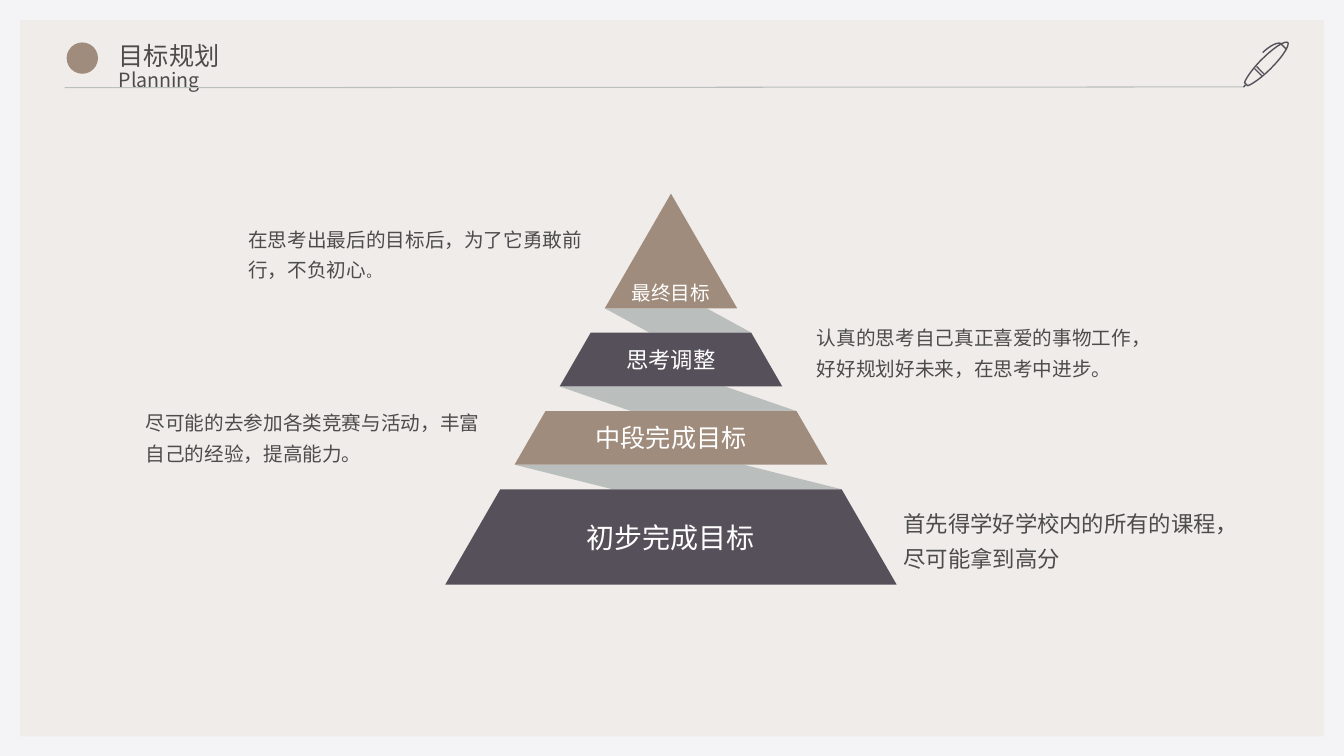
from math import radians, tan

from lxml.etree import SubElement
from pptx import Presentation
from pptx.dml.color import RGBColor
from pptx.enum.shapes import MSO_CONNECTOR as Connector, MSO_SHAPE as Shape
from pptx.enum.text import MSO_ANCHOR as Anchor, MSO_AUTO_SIZE as AutoSize, PP_ALIGN as Align
from pptx.oxml.ns import qn
from pptx.util import Cm, Pt

FONT = "Noto Sans CJK SC"
BROWN, PLUM, GREY, INK = "A08C7C", "56505B", "BABEBD", "4C4C4C"
PAPER, BORDER, WHITE = "F0ECE9", "F4F4F6", "FFFFFF"


def color(hex_code):
    return RGBColor.from_string(hex_code)


def paint(shape, fill):
    shape.shadow.inherit = False
    shape.fill.solid()
    shape.fill.fore_color.rgb = color(fill)
    shape.line.fill.background()


def add_run(paragraph, text, size, ink=INK):
    run = paragraph.add_run()
    run.text = text
    run.font.size = Pt(size)
    run.font.color.rgb = color(ink)
    run.font.name = FONT
    SubElement(run._r.get_or_add_rPr(), qn("a:ea"), typeface=FONT)


def outline(slide, strokes):
    """Build one freeform from lists of points in centimetres."""
    contours = [[(Cm(x), Cm(y)) for x, y in stroke] for stroke in strokes]
    builder = slide.shapes.build_freeform(*contours[0][0], scale=1.0)
    for index, (start, *rest) in enumerate(contours):
        if index:
            builder.move_to(*start)
        builder.add_line_segments(rest, close=start == rest[-1])
    return builder.convert_to_shape()


def curve(p0, p1, p2, p3, steps=12):
    """Points along a cubic curve, from its start to its end."""
    points = []
    for step in range(steps + 1):
        t = step / steps
        weights = ((1 - t) ** 3, 3 * t * (1 - t) ** 2, 3 * t * t * (1 - t), t ** 3)
        points.append(tuple(sum(w * p[axis] for w, p in zip(weights, (p0, p1, p2, p3)))
                            for axis in (0, 1)))
    return points


def add_text(slide, left, top, width, height, runs, spacing, wrap=True):
    box = slide.shapes.add_textbox(Cm(left), Cm(top), Cm(width), Cm(height))
    box.text_frame.word_wrap = wrap
    box.text_frame.auto_size = AutoSize.SHAPE_TO_FIT_TEXT
    paragraph = box.text_frame.paragraphs[0]
    paragraph.line_spacing = spacing
    for index, (text, size) in enumerate(runs):
        if index and not wrap:
            paragraph.add_line_break()
        add_run(paragraph, text, size)


def add_pen(slide, left, top, size):
    # Pen drawn on a 47-unit grid
    body = (curve((44, 2), (41, 0), (30, 7), (18, 19))
            + curve((18, 19), (9, 28), (2, 38), (1, 42))
            + curve((4, 45), (8, 44), (18, 37), (27, 28))
            + curve((27, 28), (39, 16), (46, 5), (44, 2)))
    clip = [(43, 9)] + curve((37, 3), (37, 3), (32, 0), (19, 12))
    bands = [[(18, 35), (11, 28)], [(13, 26), (20, 33)]]
    nib = [(2, 44), (0, 46.5)]
    unit = size / 47
    pen = outline(slide, [[(left + x * unit, top + y * unit) for x, y in stroke]
                          for stroke in (*bands, body, nib, clip)])
    pen.shadow.inherit = False
    pen.fill.background()
    pen.line.color.rgb = color(PLUM)
    pen.line.width = Pt(1)


def add_header(slide, left, top, width):
    # Title, rule, dot and pen
    add_text(slide, left + 1.11, top - 0.05, 5.38, 1.02,
             [("目标规划", 18), ("Planning", 14)], 0.9, wrap=False)
    rule = slide.shapes.add_connector(Connector.STRAIGHT, Cm(left), Cm(top + 1.19),
                                      Cm(left + width), Cm(top + 1.17))
    rule.line.color.rgb = color(GREY)
    rule.line.width = Pt(0.75)
    SubElement(rule._element.spPr, qn("a:effectLst"))
    dot = slide.shapes.add_shape(Shape.OVAL, Cm(left + 0.05), Cm(top + 0.05), Cm(0.79), Cm(0.79))
    paint(dot, BROWN)
    add_pen(slide, left + width, top, 1.19)


def add_pyramid(slide, center, apex):
    # Tiers: top and bottom below the apex, label, text size, fill
    tiers = [(0, 2.89, "最终目标", 14, BROWN), (3.5, 4.86, "思考调整", 16, PLUM),
             (5.48, 6.83, "中段完成目标", 18, BROWN), (7.45, 9.85, "初步完成目标", 20, PLUM)]
    slope = tan(radians(30))

    # Ribbons fold from each tier to the next
    for index, (upper, lower) in enumerate(zip(tiers, tiers[1:])):
        start, end, width = upper[1], lower[0], 2.57 + 1.6 * index
        left, right = center - start * slope, center + end * slope
        ribbon = [(left, apex + start), (left + width, apex + start),
                  (right, apex + end), (right - width, apex + end), (left, apex + start)]
        paint(outline(slide, [ribbon]), GREY)

    for top, bottom, label, size, fill in tiers:
        base = (center - bottom * slope, apex + bottom)
        tier = outline(slide, [[base, (center - top * slope, apex + top),
                                (center + top * slope, apex + top),
                                (center + bottom * slope, apex + bottom), base]])
        paint(tier, fill)
        frame = tier.text_frame
        frame.word_wrap = True
        frame.vertical_anchor = Anchor.MIDDLE if top else Anchor.BOTTOM
        if not top:
            frame.margin_bottom = Cm(0.09)
        frame.paragraphs[0].alignment = Align.CENTER
        add_run(frame.paragraphs[0], label, size, WHITE)


def add_notes_beside(slide, center, apex):
    # Explanations: offset from the apex, width, height, runs
    explanations = [
        (-10.9, 0.56, 9.2, 1.73, [("在思考出最后的目标后，为了它勇敢前行，不负初心", 14), ("。", 10)]),
        (3.43, 3.04, 9.17, 1.73, [("认真的思考自己真正喜爱的事物工作，好好规划好未来，在思考中进步。", 14)]),
        (-13.49, 5.18, 9.3, 1.73, [("尽可能的去参加各类竞赛与活动，丰富自己的经验，提高能力。", 14)]),
        (5.61, 7.64, 8.99, 1.96, [("首先得学好学校内的所有的课程，尽可能拿到高分", 16)]),
    ]
    for dx, dy, width, height, runs in explanations:
        add_text(slide, center + dx, apex + dy, width, height, runs, 1.3)


def main():
    deck = Presentation()
    deck.slide_width, deck.slide_height = Cm(33.87), Cm(19.05)
    slide = deck.slides.add_slide(deck.slide_layouts[6])
    slide.background.fill.solid()
    slide.background.fill.fore_color.rgb = color(BORDER)
    paper = slide.shapes.add_shape(Shape.RECTANGLE, Cm(0.51), Cm(0.51), Cm(32.86), Cm(18.05))
    paint(paper, PAPER)
    add_header(slide, 1.63, 1.02, 29.71)
    add_pyramid(slide, 16.91, 4.88)
    add_notes_beside(slide, 16.91, 4.88)
    deck.save("out.pptx")


if __name__ == "__main__":
    main()
